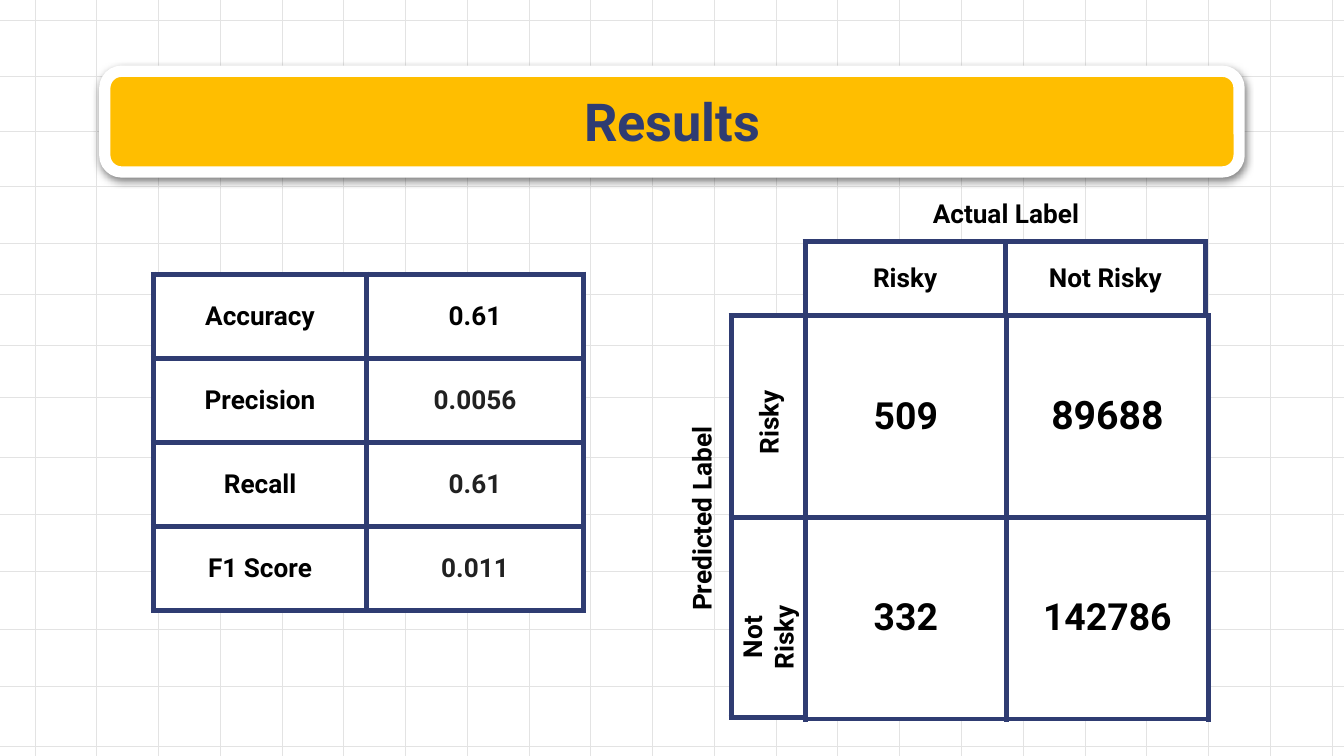
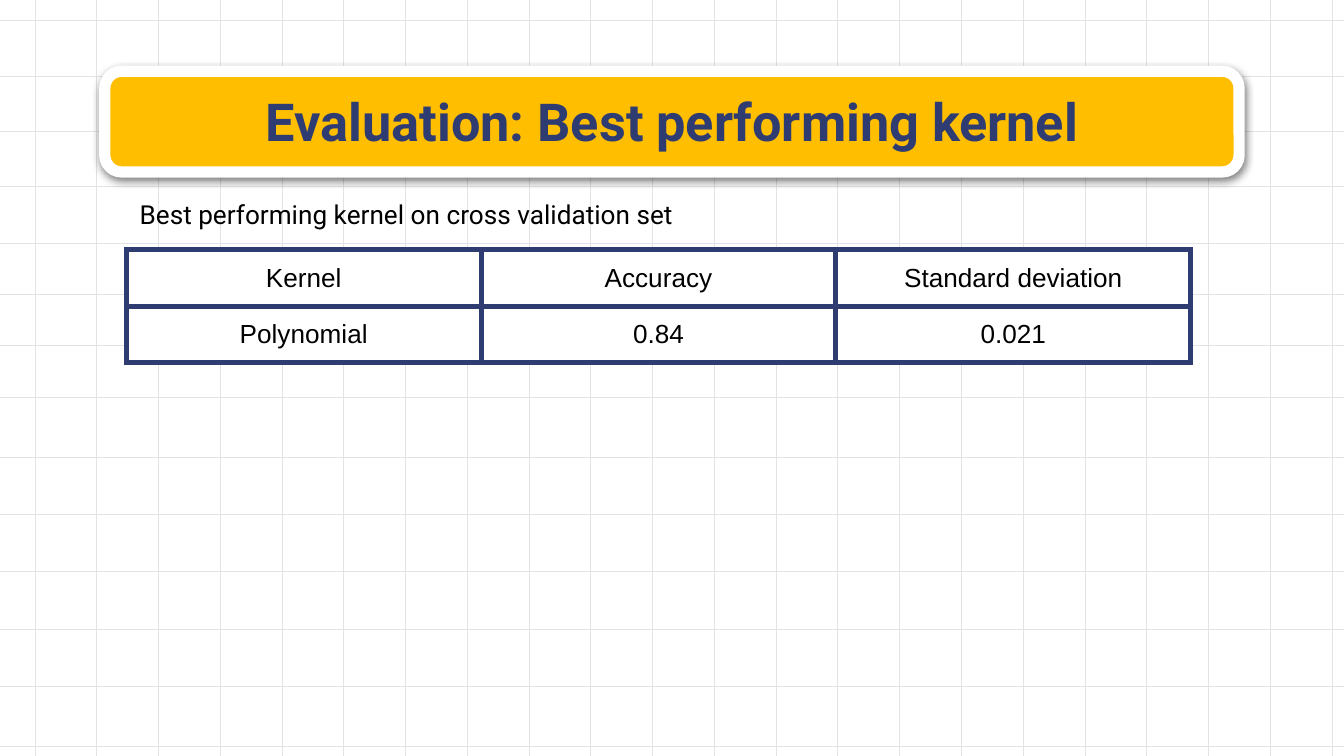
from lxml import etree
from pptx import Presentation
from pptx.dml.color import RGBColor
from pptx.enum.shapes import MSO_CONNECTOR, MSO_SHAPE
from pptx.enum.text import MSO_ANCHOR, PP_ALIGN
from pptx.oxml import parse_xml
from pptx.oxml.ns import nsdecls, qn
from pptx.util import Inches, Pt

COLORS = {
    "navy": "2F3C72",
    "gold": "FFBE00",
    "white": "FFFFFF",
    "grid": "E3E3E3",
    "black": "000000",
    "charcoal": "212121",
}
GRID_ROWS = [0.15, 0.57, 0.98, 1.39, 1.81, 2.19, 2.57, 2.96, 3.4, 3.83, 4.25, 4.68, 5.11, 5.55]
GRID_COLUMNS = [0.26 + 9.65 * step / 21 for step in range(22)]
MARGIN = Inches(0.1)


def write(frame, text, size=14, bold=True, font="Roboto", color="black", align=PP_ALIGN.CENTER):
    para = frame.paragraphs[0]
    para.alignment = align
    span = para.add_run()
    span.text = text
    span.font.size = Pt(size)
    span.font.bold = bold
    span.font.name = font
    span.font.color.rgb = RGBColor.from_string(COLORS[color])


def draw_table(page, left, top, widths, heights, rows, style):
    """Draw a white table with navy borders; a cell is a text or a (text, style changes) pair."""
    table = page.shapes.add_table(
        len(heights), len(widths), Inches(left), Inches(top),
        Inches(sum(widths)), Inches(sum(heights))).table
    table.first_row = table.horz_banding = False
    for column, width in zip(table.columns, widths):
        column.width = Inches(width)
    for row, height in zip(table.rows, heights):
        row.height = Inches(height)
    for row_index, row in enumerate(rows):
        for column_index, content in enumerate(row):
            cell = table.cell(row_index, column_index)
            cell.margin_left = cell.margin_right = cell.margin_top = cell.margin_bottom = MARGIN
            cell.vertical_anchor = MSO_ANCHOR.MIDDLE
            for side in ("lnL", "lnR", "lnT", "lnB"):
                cell._tc.get_or_add_tcPr().append(parse_xml(
                    f'<a:{side} {nsdecls("a")} w="{Pt(3)}"><a:solidFill>'
                    f'<a:srgbClr val="{COLORS["navy"]}"/></a:solidFill></a:{side}>'))
            cell.fill.solid()
            cell.fill.fore_color.rgb = RGBColor.from_string(COLORS["white"])
            text, changes = content if isinstance(content, tuple) else (content, {})
            if text:
                write(cell.text_frame, text, **{**style, **changes})


gray = {"color": "charcoal"}
slides = [
    {
        "title": "Results",
        "tables": [
            # left, top, column widths, row heights, rows, text style
            (1.14, 2.04, [1.59, 1.61], [2.5 / 4] * 4, [
                ["Accuracy", "0.61"],
                ["Precision", ("0.0056", gray)],
                ["Recall", ("0.61", gray)],
                ["F1 Score", ("0.011", gray)],
            ], {}),
            (5.99, 2.35, [1.5, 1.5], [1.5, 1.5], [
                ["509", ("89688", {"size": 21})],
                ["332", "142786"],
            ], {"size": 20}),
            (5.99, 1.8, [1.49, 1.49], [0.55], [["Risky", "Not Risky"]], {}),
            (5.44, 2.35, [0.55], [1.5, 1.49], [[""], [""]], {}),
        ],
        "labels": [
            # text, left, top, width, rotation, anchor, text style
            ("Actual Label", 5.99, 1.37, 2.99, 0, MSO_ANCHOR.TOP, {}),
            ("Predicted Label", 3.72, 3.64, 3, 270, MSO_ANCHOR.TOP, {}),
            ("Risky", 5.32, 2.92, 0.79, 270, MSO_ANCHOR.MIDDLE, {}),
            ("Not Risky", 5.2, 4.52, 1.02, 270, MSO_ANCHOR.MIDDLE, {}),
        ],
    },
    {
        "title": "Evaluation: Best performing kernel",
        "tables": [
            (0.94, 1.86, [2.64] * 3, [0.42] * 2, [
                ["Kernel", "Accuracy", "Standard deviation"],
                ["Polynomial", "0.84", "0.021"],
            ], {"font": "Arial", "bold": False}),
        ],
        "labels": [
            ("Best performing kernel on cross validation set", 0.94, 1.38, 6.59, 0,
             MSO_ANCHOR.TOP, {"bold": False, "align": PP_ALIGN.LEFT}),
        ],
    },
]

deck = Presentation()
deck.slide_width = Inches(10)
deck.slide_height = deck.slide_width * 9 // 16

for content in slides:
    page = deck.slides.add_slide(deck.slide_layouts[6])
    page.background.fill.solid()
    page.background.fill.fore_color.rgb = RGBColor.from_string(COLORS["white"])

    grid_lines = [(-0.15, y, 10.64, y) for y in GRID_ROWS]
    grid_lines += [(x, -0.33, x, 5.74) for x in GRID_COLUMNS]
    for ends in grid_lines:
        line = page.shapes.add_connector(MSO_CONNECTOR.STRAIGHT, *[Inches(end) for end in ends])
        line.line.color.rgb = RGBColor.from_string(COLORS["grid"])
        line.line.width = Pt(0.35)
        etree.SubElement(line._element.spPr, qn("a:effectLst"))

    banner = page.shapes.add_shape(
        MSO_SHAPE.ROUNDED_RECTANGLE, Inches(0.78), Inches(0.53), Inches(8.44), Inches(0.75))
    banner.adjustments[0] = 0.167
    banner.fill.solid()
    banner.fill.fore_color.rgb = RGBColor.from_string(COLORS["gold"])
    banner.line.color.rgb = RGBColor.from_string(COLORS["white"])
    banner.line.width = Pt(6)
    banner.shadow.inherit = False
    banner._element.spPr.find(qn("a:effectLst")).append(parse_xml(
        f'<a:outerShdw {nsdecls("a")} blurRad="{Pt(4.5)}" dist="{Pt(1.5)}" dir="5400000" '
        f'algn="bl" rotWithShape="0"><a:srgbClr val="{COLORS["black"]}">'
        '<a:alpha val="50000"/></a:srgbClr></a:outerShdw>'))

    for table in content["tables"]:
        draw_table(page, *table)

    title = (content["title"], 0.78, 0.59, 8.44, 0, MSO_ANCHOR.MIDDLE,
             {"size": 28, "color": "navy"})
    for text, left, top, width, rotation, anchor, style in [title] + content["labels"]:
        height = 0.61 if text == content["title"] else 0.44
        box = page.shapes.add_textbox(Inches(left), Inches(top), Inches(width), Inches(height))
        box.rotation = rotation
        frame = box.text_frame
        frame.word_wrap = True
        frame.vertical_anchor = anchor
        frame.margin_left = frame.margin_right = frame.margin_top = frame.margin_bottom = MARGIN
        write(frame, text, **style)

deck.save("out.pptx")
